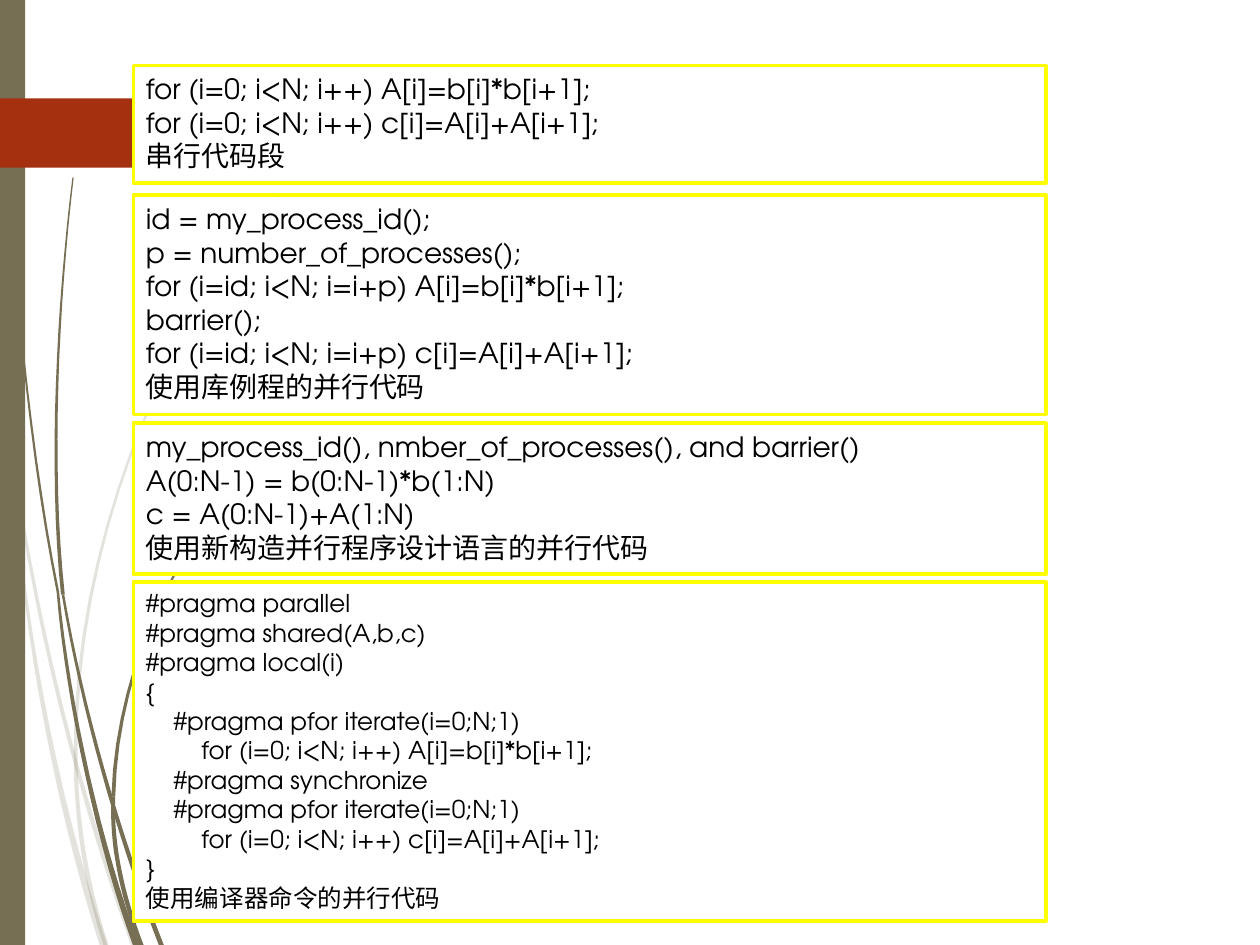
import pptx
import pptx.dml.color
import pptx.enum.shapes
import pptx.enum.text
import pptx.oxml
import pptx.oxml.ns
import pptx.util
from pptx.util import Inches

FONT = "TeX Gyre Adventor"
OLIVE, RED, YELLOW, WHITE, BLACK = "766F54", "A53010", "FFFF00", "FFFFFF", "000000"
UNITS_PER_INCH = 1000
CURVE_STEPS = 16

# Grass blades: four Bezier points of the centre line, then width at start and end.
PALE_BLADES = [
    ((0, 2.9), (0.2, 4.6), (0.55, 6.1), (1.06, 7.5), 0.02, 0.04),
    ((0.08, 3.5), (0.17, 4.9), (0.43, 6.3), (0.82, 7.5), 0.01, 0.06),
    ((2.17, 1.53), (1.25, 2.75), (0.6, 4.35), (0.6, 5.96), 0.01, 0.03),
    ((0.6, 5.96), (0.6, 6.5), (0.68, 7), (0.84, 7.5), 0.03, 0.04),
]
DARK_BLADES = [
    ((0.03, 0), (0.05, 1.7), (0.2, 3.4), (0.46, 4.7), 0.01, 0.02),
    ((0.46, 4.7), (0.54, 5.6), (0.8, 6.75), (1.08, 7.5), 0.02, 0.05),
    ((0.58, 1.41), (0.46, 2.4), (0.39, 3.7), (0.5, 4.72), 0.01, 0.03),
    ((0.5, 4.72), (0.66, 5.65), (0.93, 6.6), (1.28, 7.5), 0.02, 0.04),
    ((2.15, 3.44), (1.5, 4.2), (0.93, 5.2), (0.9, 6.32), 0.01, 0.03),
    ((0.9, 6.32), (0.88, 6.7), (0.97, 7.1), (1.12, 7.5), 0.03, 0.04),
]
PAGE_TAG = [(0, 0.78), (1.23, 0.78), (1.5, 1.05), (1.23, 1.33), (0, 1.33)]

# Top, height, text size, then lines as (indent level, text).
CODE_BOXES = [
    (0.52, 0.93, 16, [(0, "for (i=0; i<N; i++) A[i]=b[i]*b[i+1];"),
                      (0, "for (i=0; i<N; i++) c[i]=A[i]+A[i+1];"),
                      (0, "串行代码段")]),
    (1.55, 1.74, 16, [(0, "id = my_process_id();"),
                      (0, "p = number_of_processes();"),
                      (0, "for (i=id; i<N; i=i+p) A[i]=b[i]*b[i+1];"),
                      (0, "barrier();"),
                      (0, "for (i=id; i<N; i=i+p) c[i]=A[i]+A[i+1];"),
                      (0, "使用库例程的并行代码")]),
    (3.36, 1.2, 16, [(0, "my_process_id(), nmber_of_processes(), and barrier()"),
                     (0, "A(0:N-1) = b(0:N-1)*b(1:N)"),
                     (0, "c = A(0:N-1)+A(1:N)"),
                     (0, "使用新构造并行程序设计语言的并行代码")]),
    (4.62, 2.69, 14, [(0, "#pragma parallel"),
                      (0, "#pragma shared(A,b,c)"),
                      (0, "#pragma local(i)"),
                      (0, "{"),
                      (1, "#pragma pfor iterate(i=0;N;1)"),
                      (2, "for (i=0; i<N; i++) A[i]=b[i]*b[i+1];"),
                      (1, "#pragma synchronize"),
                      (1, "#pragma pfor iterate(i=0;N;1)"),
                      (2, "for (i=0; i<N; i++) c[i]=A[i]+A[i+1];"),
                      (0, "}"),
                      (0, "使用编译器命令的并行代码")]),
]


def color(hex_string):
    return pptx.dml.color.RGBColor.from_string(hex_string)


def paint(shape, fill, opacity=100):
    shape.shadow.inherit = False
    shape.line.fill.background()
    shape.fill.solid()
    shape.fill.fore_color.rgb = color(fill)
    if opacity < 100:
        tint = shape.element.spPr.find(".//" + pptx.oxml.ns.qn("a:srgbClr"))
        alpha = pptx.oxml.parse_xml(
            f'<a:alpha {pptx.oxml.ns.nsdecls("a")} val="{opacity * 1000}"/>')
        tint.append(alpha)


def add_outline(page, outline, fill, opacity=100):
    start, *points = [(round(x * UNITS_PER_INCH), round(y * UNITS_PER_INCH))
                      for x, y in outline]
    builder = page.shapes.build_freeform(*start, scale=Inches(1) / UNITS_PER_INCH)
    builder.add_line_segments(points, close=True)
    paint(builder.convert_to_shape(), fill, opacity)


def add_blade(page, blade, opacity=100):
    """Draw a tapering blade by offsetting its centre line to both sides."""
    *controls, start_width, end_width = blade
    left_edge, right_edge = [], []
    for step in range(CURVE_STEPS + 1):
        t = step / CURVE_STEPS
        weights = ((1 - t) ** 3, 3 * t * (1 - t) ** 2, 3 * t * t * (1 - t), t ** 3)
        x, y = (sum(w * point[axis] for w, point in zip(weights, controls))
                for axis in (0, 1))
        half = (start_width + (end_width - start_width) * t) / 2
        left_edge.append((max(x - half, 0), y))
        right_edge.append((x + half, y))
    add_outline(page, left_edge + right_edge[::-1], OLIVE, opacity)


def add_rectangle(page, left, top, width, height, fill):
    box = page.shapes.add_shape(pptx.enum.shapes.MSO_SHAPE.RECTANGLE,
                                Inches(left), Inches(top), Inches(width), Inches(height))
    paint(box, fill)
    return box


def add_code_box(page, top, height, size, lines):
    box = add_rectangle(page, 1.06, top, 7.24, height, WHITE)
    box.line.color.rgb = color(YELLOW)
    box.line.width = pptx.util.Pt(2.25)
    frame = box.text_frame
    frame.word_wrap = True
    frame.auto_size = pptx.enum.text.MSO_AUTO_SIZE.SHAPE_TO_FIT_TEXT
    frame.vertical_anchor = pptx.enum.text.MSO_ANCHOR.TOP
    for index, (level, text) in enumerate(lines):
        para = frame.paragraphs[0] if index == 0 else frame.add_paragraph()
        para.alignment = pptx.enum.text.PP_ALIGN.LEFT
        if level:
            para._p.get_or_add_pPr().set("marL", str(Inches(0.22 * level)))
        span = para.add_run()
        span.text = text
        span.font.name = FONT
        span.font.size = pptx.util.Pt(size)
        span.font.color.rgb = color(BLACK)


def main():
    deck = pptx.Presentation()
    deck.slide_width, deck.slide_height = Inches(10), Inches(7.5)
    page = deck.slides.add_slide(deck.slide_layouts[6])
    for blade in PALE_BLADES:
        add_blade(page, blade, opacity=20)
    for blade in DARK_BLADES:
        add_blade(page, blade)
    add_rectangle(page, 0, 0, 0.2, 7.5, OLIVE)
    add_outline(page, PAGE_TAG, RED)
    for code_box in CODE_BOXES:
        add_code_box(page, *code_box)
    deck.save("out.pptx")


if __name__ == "__main__":
    main()
